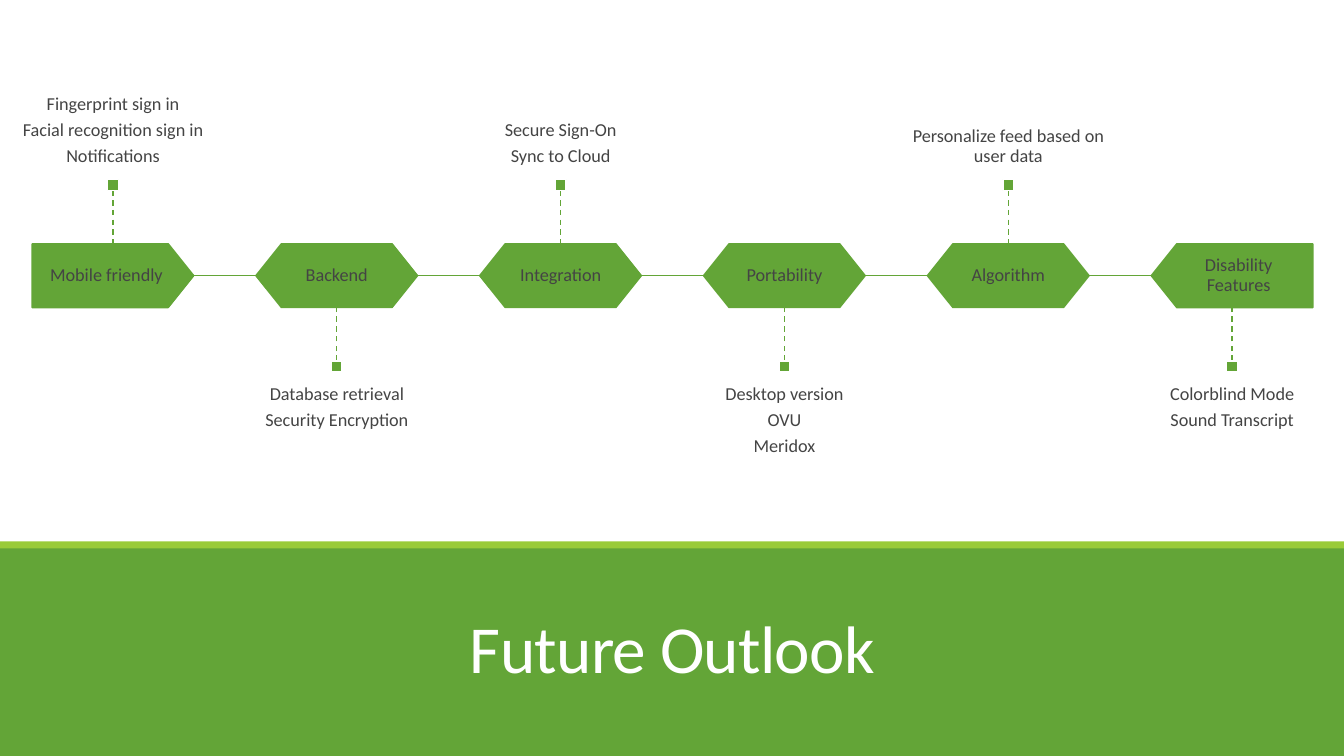
from lxml.etree import SubElement
from pptx import Presentation
from pptx.dml.color import RGBColor
from pptx.enum.dml import MSO_LINE
from pptx.enum.shapes import MSO_CONNECTOR, MSO_SHAPE
from pptx.enum.text import MSO_ANCHOR, PP_ALIGN
from pptx.oxml.ns import qn
from pptx.util import Inches, Pt

GREEN = RGBColor(0x63, 0xA5, 0x37)
LIME = RGBColor(0x99, 0xCB, 0x38)
GRAY = RGBColor(0x44, 0x44, 0x44)
WHITE = RGBColor(0xFF, 0xFF, 0xFF)

SLIDE_WIDTH, SLIDE_HEIGHT = 13.33, 7.5
STEPS = [
    ("Mobile friendly", ["Fingerprint sign in", "Facial recognition sign in", "Notifications"]),
    ("Backend", ["Database retrieval", "Security Encryption"]),
    ("Integration", ["Secure Sign-On", "Sync to Cloud"]),
    ("Portability", ["Desktop version", "OVU", "Meridox"]),
    ("Algorithm", ["Personalize feed based on user data"]),
    ("Disability Features", ["Colorblind Mode", "Sound Transcript"]),
]
COLUMN = 2.22
STEP_WIDTH, STEP_HEIGHT = 1.6, 0.63
LABEL_WIDTH = 1.47
STEM, MARKER = 0.53, 0.11
DETAIL_HEIGHT = 1.69


def add_text(slide, box, lines, size=13, color=GRAY, anchor=MSO_ANCHOR.MIDDLE,
             line_spacing=0.9, space_after=4.5, insets=(0.1, 0.1), tracking=None):
    """Add centred paragraphs; insets are (horizontal, vertical) in inches."""
    frame = slide.shapes.add_textbox(*map(Inches, box)).text_frame
    frame.word_wrap = True
    frame.vertical_anchor = anchor
    frame.margin_left = frame.margin_right = Inches(insets[0])
    frame.margin_top = frame.margin_bottom = Inches(insets[1])
    for index, line in enumerate(lines):
        paragraph = frame.paragraphs[0] if index == 0 else frame.add_paragraph()
        paragraph.alignment = PP_ALIGN.CENTER
        paragraph.line_spacing = line_spacing
        paragraph.space_after = Pt(space_after)
        run = paragraph.add_run()
        run.text = line
        run.font.name = "Calibri"
        run.font.size = Pt(size)
        run.font.color.rgb = color
        if tracking is not None:
            run.font._element.set("spc", str(int(tracking * 100)))


def add_block(slide, kind, box, fill, line=None):
    shape = slide.shapes.add_shape(kind, *map(Inches, box))
    shape.shadow.inherit = False
    shape.fill.solid()
    shape.fill.fore_color.rgb = fill
    if line is None:
        shape.line.fill.background()
    else:
        shape.line.color.rgb = line
        shape.line.width = Pt(1.25)
    return shape


def add_line(slide, start, end, width, dash=None):
    connector = slide.shapes.add_connector(
        MSO_CONNECTOR.STRAIGHT, *map(Inches, (*start, *end)))
    connector.line.color.rgb = GREEN
    connector.line.width = Pt(width)
    if dash is not None:
        connector.line.dash_style = dash
    SubElement(connector._element.spPr, qn("a:effectLst"))
    return connector


def add_step(slide, box, label, position):
    """Draw one step; position is -1 for the first, 1 for the last, else 0."""
    left, top, width, height = box
    kind = MSO_SHAPE.PENTAGON if position else MSO_SHAPE.HEXAGON
    shape = add_block(slide, kind, box, GREEN, GREEN)
    shape.adjustments[0] = 0.4
    if position == 1:
        shape.rotation = 180
    label_left = left + (width - LABEL_WIDTH) * (1 + position) / 2
    add_text(slide, (label_left, top, LABEL_WIDTH, height), [label])


def add_details(slide, column_box, lines, above):
    """Hang the stem, marker and details above or below the step's band."""
    left, top, width, height = column_box
    center = left + width / 2
    if above:
        edge, joint = top, top - STEM
        marker_top = joint - MARKER
        text_top, anchor, side = marker_top - DETAIL_HEIGHT, MSO_ANCHOR.BOTTOM, 2
    else:
        edge = top + height
        joint = marker_top = edge + STEM
        text_top, anchor, side = marker_top + MARKER, MSO_ANCHOR.TOP, 0
    add_text(slide, (left, text_top, width, DETAIL_HEIGHT), lines,
             anchor=anchor, insets=(0, 0.13))
    stem = add_line(slide, (center, joint), (center, edge), 1, MSO_LINE.DASH)
    marker = add_block(slide, MSO_SHAPE.RECTANGLE,
                       (center - MARKER / 2, marker_top, MARKER, MARKER), GREEN, WHITE)
    stem.begin_connect(marker, side)


def add_timeline(slide, left, top):
    last = len(STEPS) - 1
    middle = top + STEP_HEIGHT / 2
    for index, (label, details) in enumerate(STEPS):
        column_left = left + index * COLUMN
        step_left = column_left + (COLUMN - STEP_WIDTH) / 2
        position = (index == last) - (index == 0)
        add_step(slide, (step_left, top, STEP_WIDTH, STEP_HEIGHT), label, position)
        add_details(slide, (column_left, top, COLUMN, STEP_HEIGHT), details,
                    above=index % 2 == 0)
        if index < last:
            add_line(slide, (step_left + STEP_WIDTH, middle),
                     (step_left + COLUMN, middle), 0.75)


def add_title_band(slide, top, title):
    add_block(slide, MSO_SHAPE.RECTANGLE,
              (0, top, SLIDE_WIDTH, SLIDE_HEIGHT - top), GREEN)
    add_block(slide, MSO_SHAPE.RECTANGLE, (0, top - 0.05, SLIDE_WIDTH, 0.07), LIME)
    add_text(slide, (1.17, top + 0.32, 11, 1.13), [title], size=48, color=WHITE,
             anchor=MSO_ANCHOR.BOTTOM, line_spacing=0.85, space_after=0,
             insets=(0.1, 0.05), tracking=-0.5)


def main():
    presentation = Presentation()
    presentation.slide_width = Inches(SLIDE_WIDTH)
    presentation.slide_height = Inches(SLIDE_HEIGHT)
    slide = presentation.slides.add_slide(presentation.slide_layouts[6])
    add_title_band(slide, 5.42, "Future Outlook")
    add_timeline(slide, 0.01, 2.42)
    presentation.save("out.pptx")


if __name__ == "__main__":
    main()
